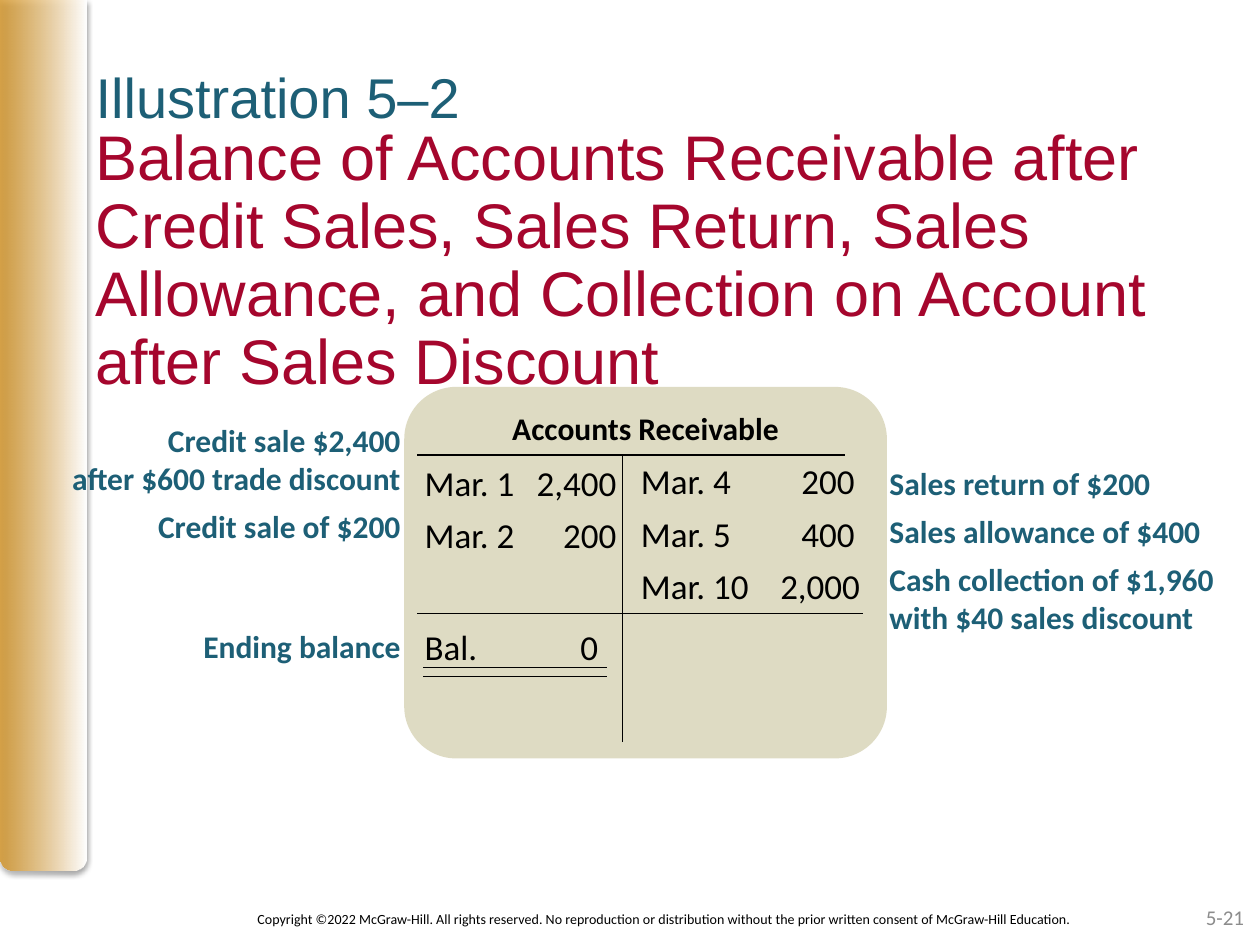
from dataclasses import dataclass
from typing import Optional

from lxml.etree import SubElement
from pptx import Presentation
from pptx.dml.color import RGBColor
from pptx.enum.shapes import MSO_CONNECTOR, MSO_SHAPE
from pptx.enum.text import MSO_ANCHOR, PP_ALIGN
from pptx.oxml.ns import qn
from pptx.util import Cm, Pt


@dataclass(frozen=True)
class Theme:
    heading_font: str = "Arial"
    body_font: str = "Calibri"
    black: str = "000000"
    white: str = "FFFFFF"
    red: str = "A5062D"
    teal: str = "1D5F76"
    gray: str = "8C8C8C"
    gold: str = "D49323"
    sand: str = "D4D0B0"
    title_size: int = 36
    kicker_size: int = 32
    ledger_size: int = 20
    label_size: int = 18
    number_size: int = 12
    copyright_size: int = 8
    line_width: float = 0.75


@dataclass(frozen=True)
class Line:
    """One paragraph; before is in points, tab is a right tab in centimetres."""
    text: str
    before: float = 0
    tab: Optional[float] = None
    spacing: Optional[float] = None


def set_alpha(color_element, percent):
    SubElement(color_element, qn("a:alpha"), val=str(percent * 1000))


def add_right_tab(paragraph, position):
    tabs = SubElement(paragraph._p.get_or_add_pPr(), qn("a:tabLst"))
    SubElement(tabs, qn("a:tab"), pos=str(Cm(position)), algn="r")


class SlideBuilder:
    def __init__(self, slide, theme):
        self.slide = slide
        self.theme = theme

    def text(self, lines, box, *, size, color, font=None, bold=False,
             align=PP_ALIGN.LEFT, anchor=MSO_ANCHOR.TOP, inset=True):
        shape = self.slide.shapes.add_textbox(*map(Cm, box))
        frame = shape.text_frame
        frame.word_wrap = True
        frame.vertical_anchor = anchor
        if not inset:
            frame.margin_left = frame.margin_right = 0
            frame.margin_top = frame.margin_bottom = 0
        for index, line in enumerate(lines):
            paragraph = frame.add_paragraph() if index else frame.paragraphs[0]
            paragraph.text = line.text
            paragraph.alignment = align
            if line.before:
                paragraph.space_before = Pt(line.before)
            if line.spacing:
                paragraph.line_spacing = line.spacing
            if line.tab:
                add_right_tab(paragraph, line.tab)
            for run in paragraph.runs:
                run.font.name = font or self.theme.body_font
                run.font.size = Pt(size)
                run.font.bold = bold
                run.font.color.rgb = RGBColor.from_string(color)

    def shape(self, kind, box):
        shape = self.slide.shapes.add_shape(kind, *map(Cm, box))
        shape.shadow.inherit = False
        shape.line.fill.background()
        return shape

    def side_band(self, box):
        """Gold band with rounded lower corners and a soft shadow."""
        band = self.shape(MSO_SHAPE.ROUND_2_SAME_RECTANGLE, box)
        properties = band._element.spPr
        properties.find(qn("a:xfrm")).set("flipV", "1")
        band.fill.gradient()
        band.fill.gradient_angle = 0
        stops = band.fill.gradient_stops
        for stop, color, position in zip(stops, (self.theme.gold, self.theme.white), (0, 1)):
            stop.color.rgb = RGBColor.from_string(color)
            stop.position = position
        set_alpha(next(properties.iter(qn("a:srgbClr"))), 80)
        shadow = SubElement(properties.find(qn("a:effectLst")), qn("a:outerShdw"),
                            blurRad=str(Pt(3.1)), dist=str(Pt(1.8)),
                            dir="5400000", rotWithShape="0")
        set_alpha(SubElement(shadow, qn("a:srgbClr"), val=self.theme.black), 35)

    def card(self, box):
        card = self.shape(MSO_SHAPE.ROUNDED_RECTANGLE, box)
        card.adjustments[0] = 0.14
        card.fill.solid()
        card.fill.fore_color.rgb = RGBColor.from_string(self.theme.sand)
        set_alpha(next(card._element.spPr.iter(qn("a:srgbClr"))), 75)

    def rule(self, *ends):
        rule = self.slide.shapes.add_connector(MSO_CONNECTOR.STRAIGHT, *map(Cm, ends))
        rule.line.color.rgb = RGBColor.from_string(self.theme.black)
        rule.line.width = Pt(self.theme.line_width)
        SubElement(rule._element.spPr, qn("a:effectLst"))


def build_frame(builder):
    theme = builder.theme
    builder.side_band((0, 0, 1.75, 17.55))
    builder.text(
        [Line("Copyright ©2022 McGraw-Hill. All rights reserved. No reproduction or "
              "distribution without the prior written consent of McGraw-Hill Education.")],
        (3.71, 18.24, 19.38, 0.61), size=theme.copyright_size, color=theme.black,
        align=PP_ALIGN.CENTER)
    builder.text([Line("5-21")], (19.41, 17.98, 5.92, 1.02), size=theme.number_size,
                 color=theme.gray, align=PP_ALIGN.RIGHT, anchor=MSO_ANCHOR.MIDDLE)
    builder.text(
        [Line("Balance of Accounts Receivable after Credit Sales, Sales Return, Sales "
              "Allowance, and Collection on Account after Sales Discount", spacing=0.9)],
        (1.93, 2.54, 22.35, 4.6), size=theme.title_size, color=theme.red,
        font=theme.heading_font, inset=False)
    builder.text([Line("Illustration 5–2")], (1.93, 1.27, 14.63, 1.17),
                 size=theme.kicker_size, color=theme.teal,
                 font=theme.heading_font, inset=False)


def build_t_account(builder):
    theme = builder.theme
    ledger = {"size": theme.ledger_size, "color": theme.black}
    label = {"size": theme.label_size, "color": theme.teal, "bold": True}

    builder.card((8.15, 7.8, 9.73, 7.49))
    builder.text([Line("Accounts Receivable")], (8.66, 8.13, 8.71, 1.02),
                 size=theme.label_size, color=theme.black, bold=True,
                 align=PP_ALIGN.CENTER)
    builder.text([Line("Mar. 1\t2,400", tab=3.87),
                  Line("Mar. 2\t200", before=6, tab=3.87),
                  Line("Bal.\t0", before=40, tab=3.5)],
                 (8.31, 9.17, 9.47, 4.45), **ledger)
    builder.text([Line("Mar. 4\t200", tab=4.31),
                  Line("Mar. 5\t400", before=6, tab=4.31),
                  Line("Mar. 10\t2,000", before=6, tab=4.42)],
                 (12.67, 9.14, 5.41, 3.25), **ledger)

    builder.text([Line("Credit sale $2,400\vafter $600 trade discount"),
                  Line("Credit sale of $200", before=6),
                  Line("Ending balance", before=47)],
                 (0.86, 8.36, 7.47, 5.21), align=PP_ALIGN.RIGHT, **label)
    builder.text([Line("Sales return of $200", spacing=1.2),
                  Line("Sales allowance of $400", before=6),
                  Line("Cash collection of $1,960\vwith $40 sales discount", before=6)],
                 (17.68, 9.07, 7.57, 3.91), **label)

    for left, right, top in ((8.41, 17.04, 9.17), (8.41, 17.4, 12.37),
                             (8.53, 12.24, 13.46), (8.53, 12.24, 13.64)):
        builder.rule(left, top, right, top)
    builder.rule(12.55, 14.96, 12.55, 9.17)


def main():
    presentation = Presentation()
    presentation.slide_width = Cm(25.4)
    presentation.slide_height = Cm(19.05)
    slide = presentation.slides.add_slide(presentation.slide_layouts[6])
    builder = SlideBuilder(slide, Theme())
    build_frame(builder)
    build_t_account(builder)
    presentation.save("out.pptx")


if __name__ == "__main__":
    main()
